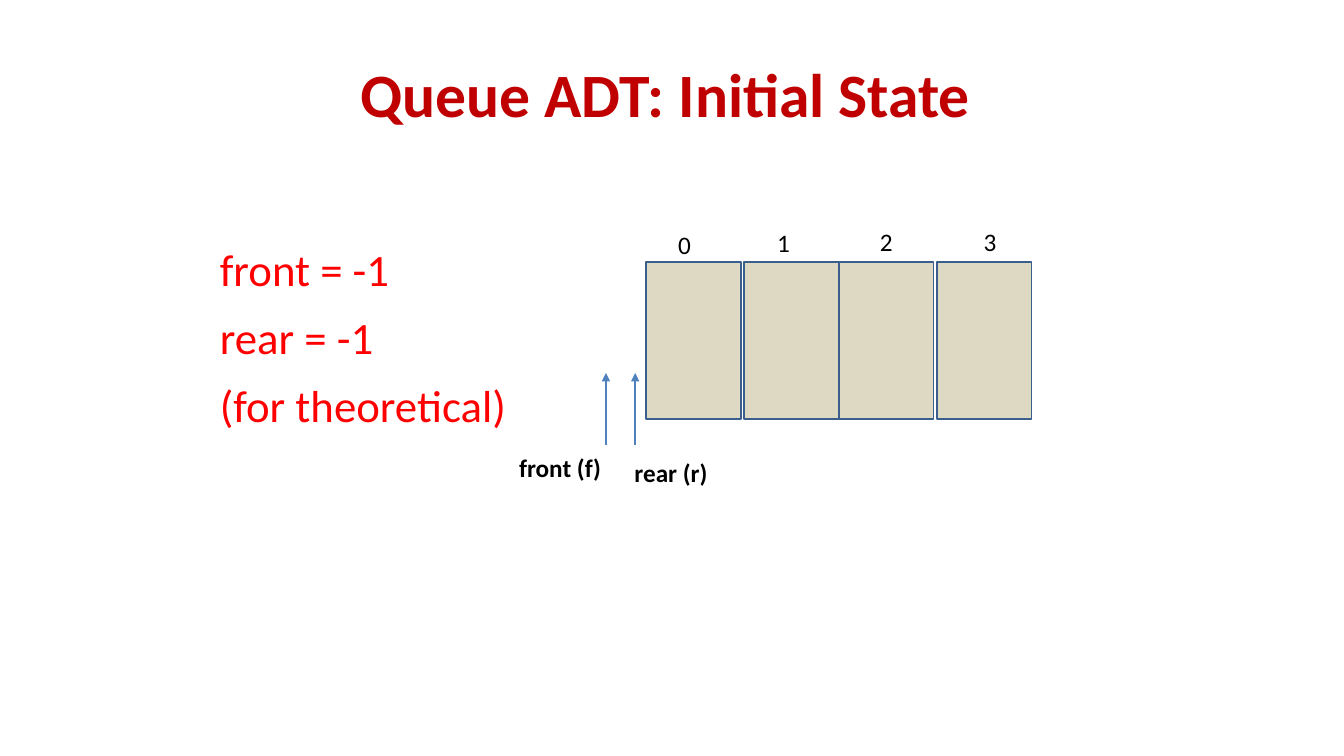
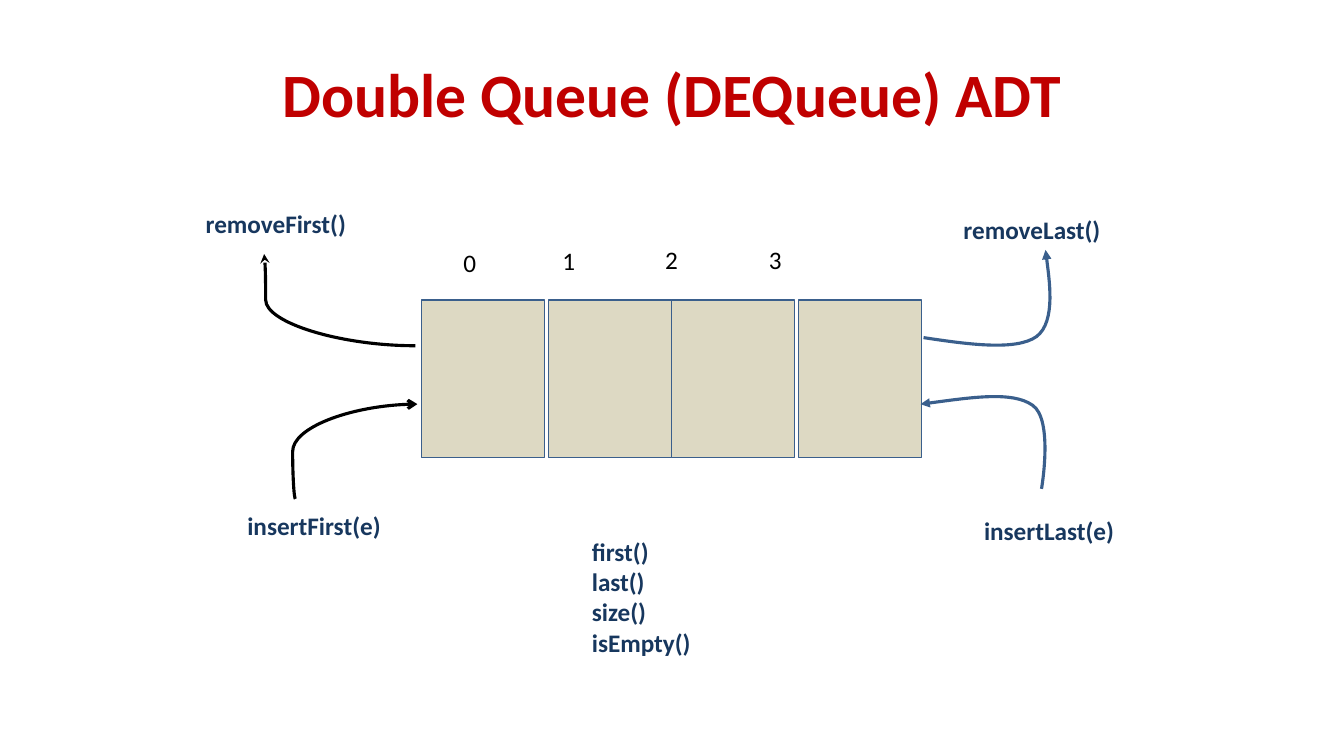
from dataclasses import dataclass
from typing import Any, Optional

from lxml import etree
from pptx import Presentation
from pptx.dml.color import RGBColor
from pptx.enum.shapes import MSO_CONNECTOR, MSO_SHAPE
from pptx.enum.text import MSO_ANCHOR, MSO_AUTO_SIZE, PP_ALIGN
from pptx.oxml.ns import qn
from pptx.util import Inches, Pt

RECTANGLE = MSO_SHAPE.RECTANGLE
STRAIGHT, CURVE = MSO_CONNECTOR.STRAIGHT, MSO_CONNECTOR.CURVE
LEFT, CENTER = PP_ALIGN.LEFT, PP_ALIGN.CENTER
TOP, MIDDLE = MSO_ANCHOR.TOP, MSO_ANCHOR.MIDDLE
NO_AUTOFIT = MSO_AUTO_SIZE.NONE

FONT = "Calibri"
BLACK, RED, TITLE_RED = "000000", "FF0000", "C00000"
NAVY, OUTLINE, BLUE, SAND = "17375E", "3A5F8C", "4F81BD", "DDD9C3"

# Offsets of the index labels from the first one, the same on both slides
INDEX_OFFSETS = ((0, 0.03), (0.98, 0.01), (2, 0), (3.03, 0))
INDEX_SIZE = (1.02, 0.73)
CELL_HEIGHT = 1.56

Point = tuple[float, float]
Box = tuple[float, float, float, float]


@dataclass(frozen=True)
class TextStyle:
    size: float
    color: str
    bold: bool = False
    align: Any = CENTER
    anchor: Any = TOP
    side_inset: float = 0.1
    line_spacing: float = 1.0
    space_before: float = 0


@dataclass(frozen=True)
class Caption:
    text: str
    left: float
    top: float
    width: float
    color: str = NAVY


@dataclass(frozen=True)
class QueueCells:
    left: float
    top: float
    width: float
    gap: float
    index_left: float
    index_top: float


@dataclass(frozen=True)
class Arrow:
    start: Point
    end: Point
    color: str
    width: float
    head: Optional[str] = None
    tail: Optional[str] = None
    bend: Optional[int] = None  # curve adjustment in 1/100000; None is straight


@dataclass(frozen=True)
class Bezier:
    start: Point
    controls: tuple[Point, ...]  # three points for each cubic segment
    head: Optional[str] = None
    tail: Optional[str] = None


TITLE = TextStyle(44, TITLE_RED, bold=True, anchor=MIDDLE)
INDEX = TextStyle(18, BLACK, anchor=MIDDLE)
STATE_LIST = TextStyle(32, RED, align=LEFT, side_inset=0,
                       line_spacing=0.8, space_before=18)
METHOD_LIST = TextStyle(18, NAVY, bold=True, align=LEFT)


def rgb(color: str) -> RGBColor:
    return RGBColor.from_string(color)


def apply_format(target: Any, values: dict[str, Any]) -> None:
    for name, value in values.items():
        setattr(target, name, value)


def place(shape: Any, box: Box) -> None:
    names = ("left", "top", "width", "height")
    apply_format(shape, dict(zip(names, map(Inches, box))))


def write_text(shape: Any, lines: list[str], style: TextStyle) -> None:
    frame = shape.text_frame
    apply_format(frame, {
        "text": "\n".join(lines),
        "word_wrap": True,
        "auto_size": NO_AUTOFIT,
        "vertical_anchor": style.anchor,
        "margin_left": Inches(style.side_inset),
        "margin_right": Inches(style.side_inset),
        "margin_top": Inches(0.05),
        "margin_bottom": Inches(0.05),
    })
    for paragraph in frame.paragraphs:
        apply_format(paragraph, {
            "alignment": style.align,
            "line_spacing": style.line_spacing,
            "space_before": Pt(style.space_before),
        })
        for run in paragraph.runs:
            apply_format(run.font, {"name": FONT, "size": Pt(style.size),
                                    "bold": style.bold})
            run.font.color.rgb = rgb(style.color)


def add_text(slide: Any, text: str, box: Box, style: TextStyle) -> None:
    shape = slide.shapes.add_textbox(*map(Inches, box))
    write_text(shape, [text], style)


def add_caption(slide: Any, caption: Caption) -> None:
    box = (caption.left, caption.top, caption.width, 0.4)
    add_text(slide, caption.text, box, TextStyle(18, caption.color, bold=True))


def add_queue_slide(presentation: Any, title: str, lines: list[str],
                    list_box: Box, list_style: TextStyle) -> Any:
    """Add a slide with its title and an unbulleted list."""
    slide = presentation.slides.add_slide(presentation.slide_layouts[1])
    place(slide.shapes.title, (0.67, 0.3, 12, 1.25))
    write_text(slide.shapes.title, [title], TITLE)
    body = slide.placeholders[1]
    place(body, list_box)
    write_text(body, lines, list_style)
    for paragraph in body.text_frame.paragraphs:
        properties = paragraph._p.get_or_add_pPr()
        properties.set("marL", "0")
        properties.set("indent", "0")
        etree.SubElement(properties, qn("a:buNone"))
    return slide


def add_cells(slide: Any, cells: QueueCells) -> None:
    """Draw four cells, the middle two touching, with their indexes above."""
    for index, (shift_x, shift_y) in enumerate(INDEX_OFFSETS):
        gaps = (index > 0) + (index > 2)
        left = cells.left + index * cells.width + gaps * cells.gap
        box = (left, cells.top, cells.width, CELL_HEIGHT)
        cell = slide.shapes.add_shape(RECTANGLE, *map(Inches, box))
        cell.shadow.inherit = False
        cell.fill.solid()
        cell.fill.fore_color.rgb = rgb(SAND)
        cell.line.color.rgb = rgb(OUTLINE)
        cell.line.width = Pt(1.25)
        corner = (cells.index_left + shift_x, cells.index_top + shift_y)
        add_text(slide, str(index), corner + INDEX_SIZE, INDEX)


def style_line(shape: Any, color: str, width: float,
               head: Optional[str], tail: Optional[str]) -> None:
    shape.line.color.rgb = rgb(color)
    shape.line.width = Pt(width)
    line = shape.line._get_or_add_ln()
    for tag, kind in (("a:headEnd", head), ("a:tailEnd", tail)):
        if kind:
            etree.SubElement(line, qn(tag), type=kind)
    etree.SubElement(shape._element.spPr, qn("a:effectLst"))


def add_arrow(slide: Any, arrow: Arrow) -> None:
    kind = STRAIGHT if arrow.bend is None else CURVE
    connector = slide.shapes.add_connector(
        kind, *map(Inches, arrow.start + arrow.end))
    if arrow.bend is not None:
        guides = connector._element.spPr.find(".//" + qn("a:avLst"))
        etree.SubElement(guides, qn("a:gd"), name="adj1",
                         fmla=f"val {arrow.bend}")
    style_line(connector, arrow.color, arrow.width, arrow.head, arrow.tail)


def add_bezier(slide: Any, curve: Bezier) -> None:
    """Build an outline through the control points, then make it cubic."""
    builder = slide.shapes.build_freeform(*map(Inches, curve.start))
    points = [(Inches(x), Inches(y)) for x, y in curve.controls]
    builder.add_line_segments(points, close=False)
    shape = builder.convert_to_shape()
    shape.fill.background()
    segments = list(shape._element.iter(qn("a:lnTo")))
    for first in range(0, len(segments), 3):
        cubic = etree.SubElement(segments[first].getparent(),
                                 qn("a:cubicBezTo"))
        for segment in segments[first:first + 3]:
            cubic.append(segment[0])
            segment.getparent().remove(segment)
    style_line(shape, OUTLINE, 2.25, curve.head, curve.tail)


def build_initial_state(presentation: Any) -> None:
    slide = add_queue_slide(
        presentation, "Queue ADT: Initial State ",
        ["front = -1", "rear = -1", "(for theoretical)"],
        (2.18, 2.45, 3.37, 1.99), STATE_LIST)
    add_cells(slide, QueueCells(6.41, 2.6, 0.94, 0.03, 6.28, 2.03))
    # Front and rear pointers
    for x in (6.01, 6.3):
        add_arrow(slide, Arrow((x, 4.41), (x, 3.7), BLUE, 1.5,
                               tail="triangle"))
    add_caption(slide, Caption("front (f)", 4.91, 4.44, 1.29, BLACK))
    add_caption(slide, Caption("rear (r)", 6.01, 4.49, 1.29, BLACK))


def build_double_queue(presentation: Any) -> None:
    slide = add_queue_slide(
        presentation, "Double Queue (DEQueue) ADT",
        ["first()", "last()", "size()", "isEmpty()"],
        (5.77, 5.27, 2.11, 1.31), METHOD_LIST)
    add_cells(slide, QueueCells(4.18, 2.98, 1.22, 0.04, 4.15, 2.21))
    # Operations at both ends
    for caption in (
        Caption("removeFirst()", 1.89, 2.02, 1.69),
        Caption("insertFirst(e)", 2.27, 5.01, 1.69),
        Caption("removeLast()", 9.39, 2.08, 1.69),
        Caption("insertLast(e)", 9.56, 5.06, 1.69),
    ):
        add_caption(slide, caption)
    # Arrows at the first end
    add_arrow(slide, Arrow((2.62, 2.52), (4.12, 3.43), BLACK, 2.25,
                           head="stealth", bend=1000))
    add_arrow(slide, Arrow((2.93, 4.95), (4.14, 4.01), BLACK, 2.25,
                           tail="arrow", bend=-2300))
    # Arrows at the last end
    add_bezier(slide, Bezier(
        (9.16, 3.35),
        ((9.62, 3.42), (10.08, 3.48), (10.28, 3.34),
         (10.48, 3.19), (10.37, 2.48), (10.37, 2.48)), tail="triangle"))
    add_bezier(slide, Bezier(
        (9.13, 4.01),
        ((9.59, 3.95), (10.04, 3.88), (10.24, 4.02),
         (10.45, 4.16), (10.33, 4.85), (10.33, 4.85)), head="triangle"))


def main() -> None:
    presentation = Presentation()
    presentation.slide_width = Inches(13.33)
    presentation.slide_height = Inches(7.5)
    build_initial_state(presentation)
    build_double_queue(presentation)
    presentation.save("out.pptx")


if __name__ == "__main__":
    main()
